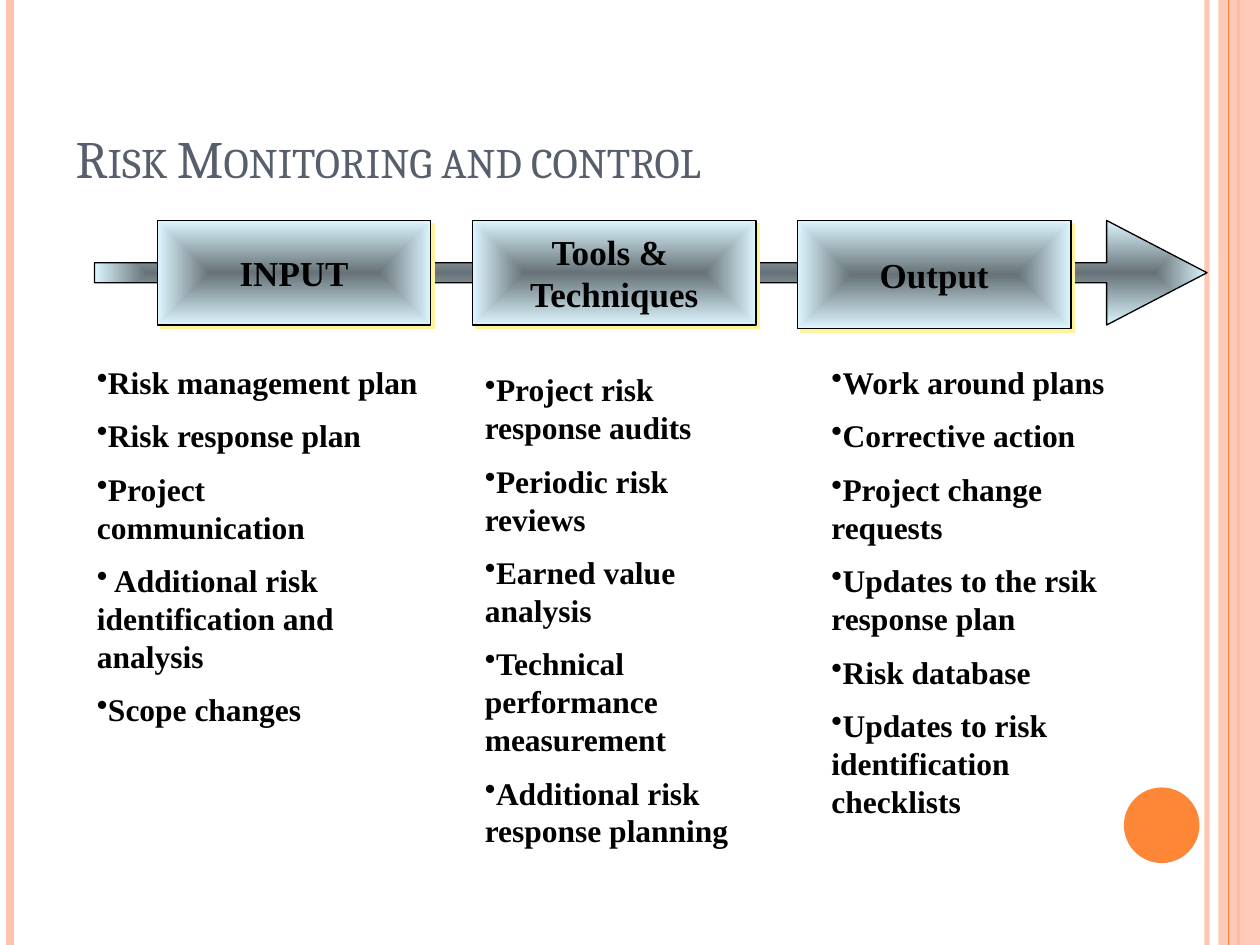
from lxml import etree
from pptx import Presentation
from pptx.dml.color import RGBColor
from pptx.enum.shapes import MSO_CONNECTOR, MSO_SHAPE
from pptx.enum.text import MSO_ANCHOR, MSO_AUTO_SIZE, PP_ALIGN
from pptx.oxml.ns import qn
from pptx.util import Inches, Pt

STRAIGHT = MSO_CONNECTOR.STRAIGHT
RECTANGLE, ELLIPSE, ARROW = MSO_SHAPE.RECTANGLE, MSO_SHAPE.OVAL, MSO_SHAPE.RIGHT_ARROW
MIDDLE, BOTTOM = MSO_ANCHOR.MIDDLE, MSO_ANCHOR.BOTTOM
LEFT, CENTER = PP_ALIGN.LEFT, PP_ALIGN.CENTER

PEACH = RGBColor(0xFE, 0xC3, 0xAE)
ORANGE = RGBColor(0xFE, 0x86, 0x37)
SLATE = RGBColor(0x57, 0x5F, 0x6D)
STEEL = RGBColor(0x66, 0x72, 0x77)
ICE = RGBColor(0xDD, 0xF6, 0xFF)
BLACK = RGBColor(0, 0, 0)
SHADOW = "FFF39D"
TITLE_FONT, BODY_FONT = "Cambria", "Times New Roman"

TITLE = "Risk Monitoring and control"
# x, colour, width in points, opacity in percent
BACK_STRIPES = [(9.58, PEACH, 3, 93), (0.08, PEACH, 4.5, 100), (9.83, ORANGE, 1.5, 100)]
FRONT_STRIPE = (9.75, ORANGE, 0.75, 100)
STAGE_TOP = 1.75
# heading, heading box (left, width, height), list box (left, top, width, height), items
STAGES = [
    ("INPUT", (1.25, 2.17, 0.83), (0.67, 2.83, 2.75, 3.11), [
        "Risk management plan",
        "Risk response plan",
        "Project communication",
        " Additional risk identification and analysis",
        "Scope changes",
    ]),
    ("Tools & \nTechniques", (3.75, 2.25, 0.83), (3.75, 2.89, 2.5, 4.01), [
        "Project risk response audits",
        "Periodic risk reviews",
        "Earned value analysis",
        "Technical performance measurement",
        "Additional risk response planning",
    ]),
    ("Output", (6.33, 2.17, 0.86), (6.5, 2.83, 2.42, 5.21), [
        "Work around plans",
        "Corrective action",
        "Project change requests",
        "Updates to the rsik response plan",
        "Risk database",
        "Updates to risk identification checklists",
    ]),
]


def set_opacity(fill_owner, percent):
    color = next(fill_owner.iter(qn("a:srgbClr")))
    etree.SubElement(color, qn("a:alpha"), val=str(percent * 1000))


def add_stripe(page, x, color, width, opacity):
    stripe = page.shapes.add_connector(STRAIGHT, Inches(x), 0, Inches(x), Inches(7.5))
    stripe.line.color.rgb = color
    stripe.line.width = Pt(width)
    properties = stripe._element.spPr
    if opacity < 100:
        set_opacity(properties, opacity)
    etree.SubElement(properties, qn("a:effectLst"))


def add_plain_shape(page, kind, area, color=None):
    shape = page.shapes.add_shape(kind, *map(Inches, area))
    shape.shadow.inherit = False
    if color is not None:
        shape.fill.solid()
        shape.fill.fore_color.rgb = color
        shape.line.fill.background()
    return shape


def add_steel_shape(page, kind, area, path):
    """Add a black-outlined shape shaded from its dark centre to a light rim."""
    shape = add_plain_shape(page, kind, area)
    shape.line.color.rgb = BLACK
    shape.line.width = Pt(0.75)
    shape.fill.gradient()
    for stop, color, position in zip(shape.fill.gradient_stops, (STEEL, ICE), (0, 1)):
        stop.color.rgb = color
        stop.position = position
    gradient = shape._element.spPr.find(qn("a:gradFill"))
    gradient.remove(gradient.find(qn("a:lin")))
    center = etree.SubElement(gradient, qn("a:path"), path=path)
    etree.SubElement(center, qn("a:fillToRect"), l="50000", t="50000", r="50000", b="50000")
    return shape


def add_shadow(shape):
    effects = shape._element.spPr.find(qn("a:effectLst"))
    shadow = etree.SubElement(effects, qn("a:outerShdw"), dist=str(Pt(2.8)),
                              dir="2700000", algn="ctr", rotWithShape="0")
    etree.SubElement(shadow, qn("a:srgbClr"), val=SHADOW)


def format_paragraph(paragraph, size, alignment):
    paragraph.alignment = alignment
    font = paragraph.font
    font.name, font.size, font.bold = BODY_FONT, Pt(size), True
    font.color.rgb = BLACK


def add_heading(page, text, area):
    box = add_steel_shape(page, RECTANGLE, area, "shape")
    add_shadow(box)
    frame = box.text_frame
    frame.text = text
    frame.word_wrap = False
    frame.vertical_anchor = MIDDLE
    for paragraph in frame.paragraphs:
        format_paragraph(paragraph, 20, CENTER)


def add_list(page, items, area):
    frame = page.shapes.add_textbox(*map(Inches, area)).text_frame
    frame.word_wrap = True
    frame.auto_size = MSO_AUTO_SIZE.SHAPE_TO_FIT_TEXT
    frame.text = "\n".join(items)
    for index, paragraph in enumerate(frame.paragraphs):
        if index:
            paragraph.space_before = Pt(9)
        etree.SubElement(paragraph._p.get_or_add_pPr(), qn("a:buChar"), char="•")
        format_paragraph(paragraph, 18, LEFT)


def format_title(title):
    title.left, title.top, title.width, title.height = map(Inches, (0.5, 0.3, 8.17, 1.25))
    frame = title.text_frame
    frame.text = TITLE
    frame.vertical_anchor = BOTTOM
    paragraph = frame.paragraphs[0]
    paragraph.alignment = LEFT
    font = paragraph.runs[0].font
    font.name, font.size = TITLE_FONT, Pt(30)
    font.color.rgb = SLATE
    font._element.set("cap", "small")


def main():
    deck = Presentation()
    deck.slide_width, deck.slide_height = Inches(10), Inches(7.5)
    page = deck.slides.add_slide(deck.slide_layouts[5])
    format_title(page.shapes.title)

    for stripe in BACK_STRIPES:
        add_stripe(page, *stripe)
    band = add_plain_shape(page, RECTANGLE, (9.67, 0, 0.33, 7.5), PEACH)
    set_opacity(band._element.spPr, 87)
    add_stripe(page, *FRONT_STRIPE)
    add_plain_shape(page, ELLIPSE, (8.92, 6.25, 0.6, 0.6), ORANGE)

    arrow = add_steel_shape(page, ARROW, (0.75, STAGE_TOP, 8.83, 0.83), "rect")
    arrow.adjustments[0], arrow.adjustments[1] = 0.19, 0.96
    for heading, (left, width, height), list_area, items in STAGES:
        add_heading(page, heading, (left, STAGE_TOP, width, height))
        add_list(page, items, list_area)
    deck.save("out.pptx")


if __name__ == "__main__":
    main()
